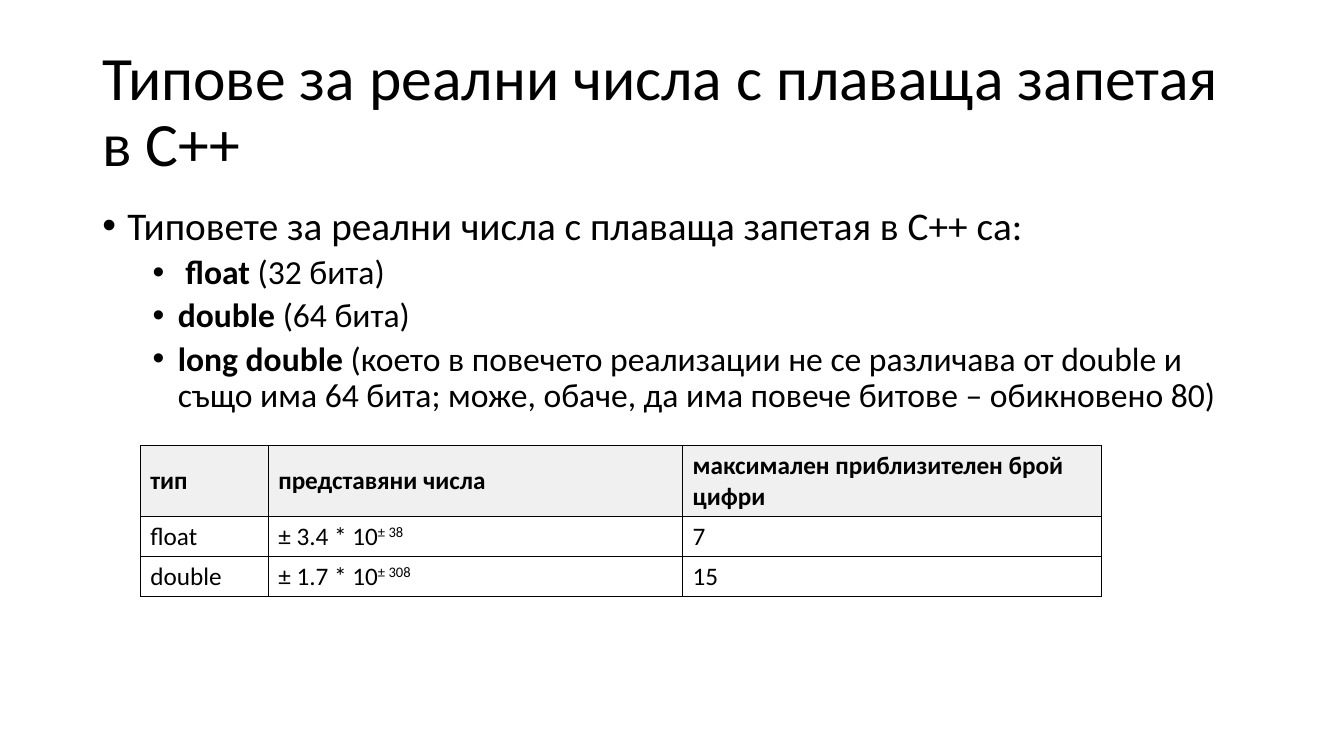
from lxml.etree import SubElement as Sub
from pptx import Presentation
from pptx.dml.color import RGBColor as RGB
from pptx.enum.text import MSO_ANCHOR as Anchor, MSO_AUTO_SIZE as Auto, PP_ALIGN as Align
from pptx.oxml.ns import qn
from pptx.util import Pt

BLACK = RGB(0, 0, 0)
WHITE = RGB(255, 255, 255)
GREY = RGB(240, 240, 240)
FONT = "Calibri"

TITLE = "Типове за реални числа с плаваща запетая в C++"
LEAD = "Типовете за реални числа с плаваща запетая в C++ са:"
TYPES = [
    (" float", " (32 бита)"),
    ("double", " (64 бита)"),
    ("long double ", "(което в повечето реализации не се различава от double и "
     "също има 64 бита; може, обаче, да има повече битове – обикновено 80)"),
]
ROWS = [
    ("тип", "представяни числа", "максимален приблизителен брой цифри"),
    ("float", ("± 3.4 * 10", "± 38"), "7"),
    ("double", ("± 1.7 * 10", "± 308"), "15"),
]
COLS = [91.4, 296, 299]


def style(par, size, bold=None):
    font = par.font
    font.name, font.size, font.bold = FONT, Pt(size), bold
    font.color.rgb = BLACK


def add_run(par, text, bold=None):
    run = par.add_run()
    run.text = text
    run.font.bold = bold
    return run


def bullet(par, left, size, space):
    par.line_spacing = 0.9
    par.space_before = Pt(space)
    props = par._p.get_or_add_pPr()
    props.set("marL", str(Pt(left)))
    props.set("indent", str(Pt(-18)))
    Sub(props, qn("a:buFont"), typeface="Arial")
    Sub(props, qn("a:buChar"), char="•")
    style(par, size)


def add_title(slide, x, y, w, h):
    title = slide.shapes.title
    title.left, title.top, title.width, title.height = Pt(x), Pt(y), Pt(w), Pt(h)
    frame = title.text_frame
    frame.text = TITLE
    frame.auto_size = Auto.NONE
    frame.vertical_anchor = Anchor.MIDDLE
    par = frame.paragraphs[0]
    par.alignment = Align.LEFT
    par.line_spacing = 0.9
    style(par, 44)


def add_list(slide, x, y, w, h):
    frame = slide.shapes.add_textbox(Pt(x), Pt(y), Pt(w), Pt(h)).text_frame
    frame.word_wrap = True
    par = frame.paragraphs[0]
    add_run(par, LEAD)
    bullet(par, 18, 28, 10)
    for name, note in TYPES:
        par = frame.add_paragraph()
        par.level = 1
        add_run(par, name, True)
        add_run(par, note)
        bullet(par, 54, 24, 5)


def border(cell):
    props = cell._tc.get_or_add_tcPr()
    for side in ("a:lnL", "a:lnR", "a:lnT", "a:lnB"):
        line = Sub(props, qn(side), w=str(Pt(0.75)))
        Sub(Sub(line, qn("a:solidFill")), qn("a:srgbClr"), val=str(BLACK))


def fill_cell(cell, value, head):
    border(cell)
    cell.fill.solid()
    cell.fill.fore_color.rgb = GREY if head else WHITE
    cell.vertical_anchor = Anchor.MIDDLE
    par = cell.text_frame.paragraphs[0]
    style(par, 18, head)
    if isinstance(value, tuple):
        base, power = value
        add_run(par, base)
        run = add_run(par, power)
        run._r.get_or_add_rPr().set("baseline", "30000")
    else:
        add_run(par, value, head)


def add_grid(slide, x, y, w, h):
    grid = slide.shapes.add_table(len(ROWS), len(COLS), Pt(x), Pt(y), Pt(w), Pt(h)).table
    grid.first_row = grid.horz_banding = False
    for col, width in zip(grid.columns, COLS):
        col.width = Pt(width)
    for i, row in enumerate(ROWS):
        for j, value in enumerate(row):
            fill_cell(grid.cell(i, j), value, i == 0)


def main():
    deck = Presentation()
    deck.slide_width, deck.slide_height = Pt(960), Pt(540)
    slide = deck.slides.add_slide(deck.slide_layouts[5])
    add_title(slide, 66, 28.75, 828, 104.4)
    add_list(slide, 66, 143.75, 828, 165)
    add_grid(slide, 100.2, 318.2, sum(COLS), 78)
    deck.save("out.pptx")


if __name__ == "__main__":
    main()
